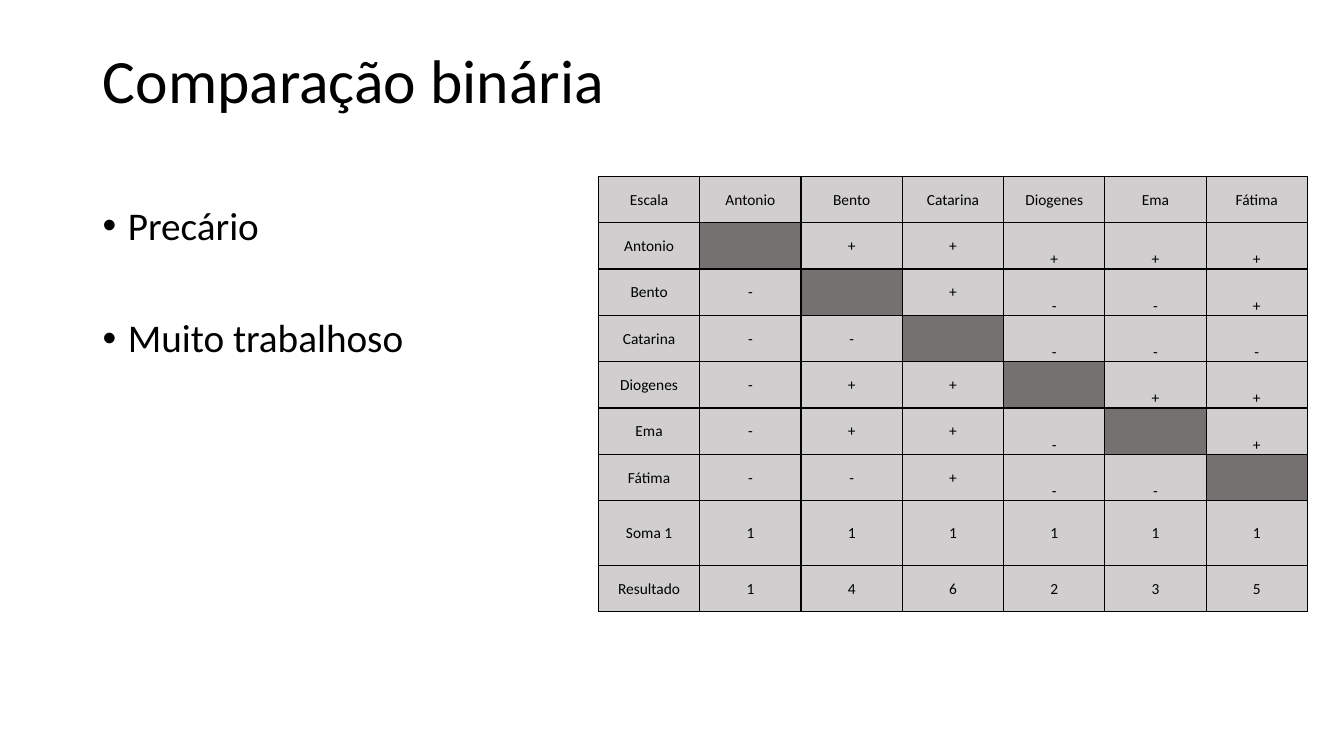
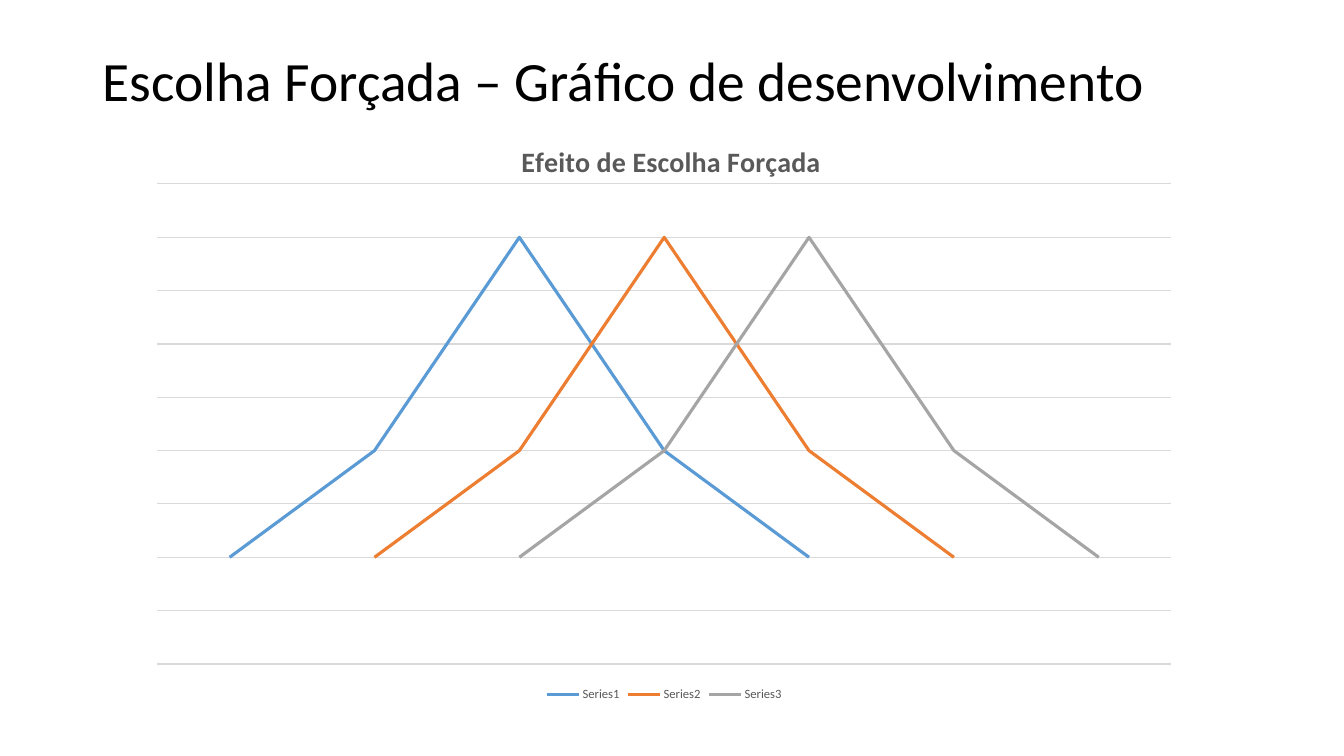
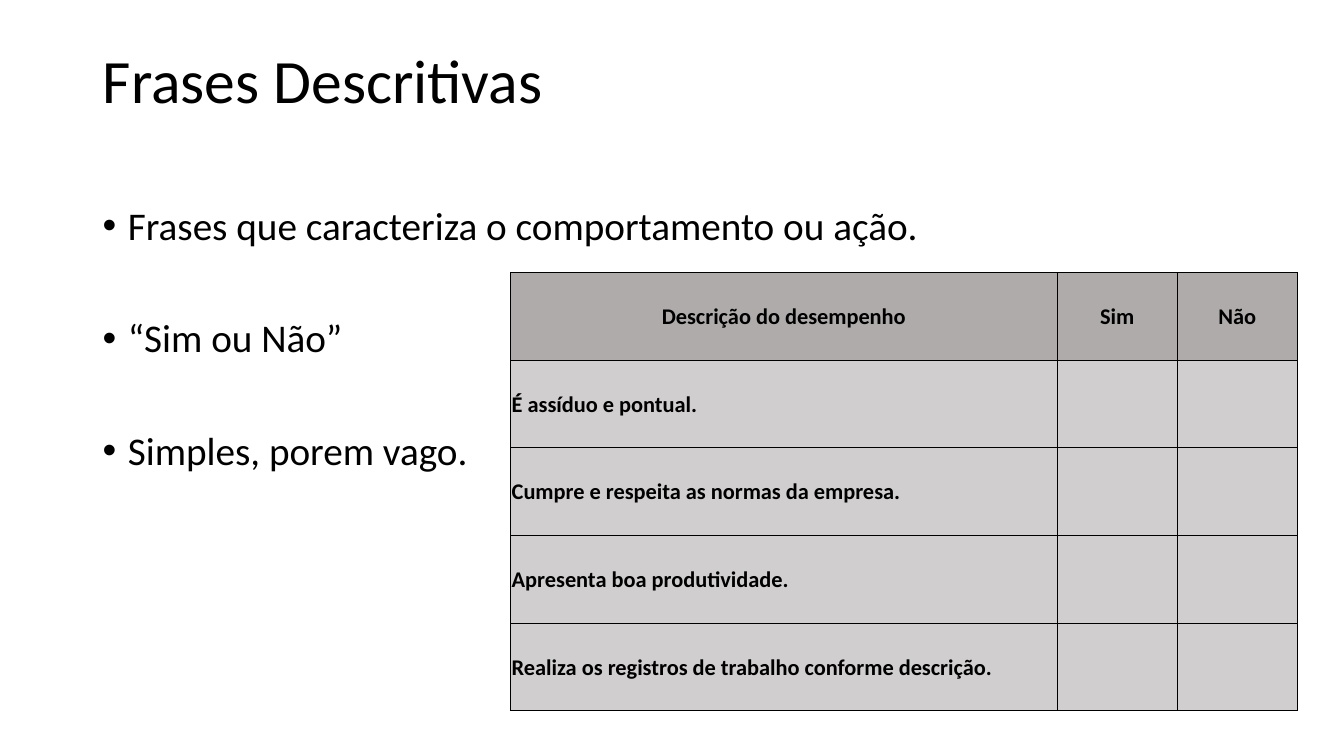
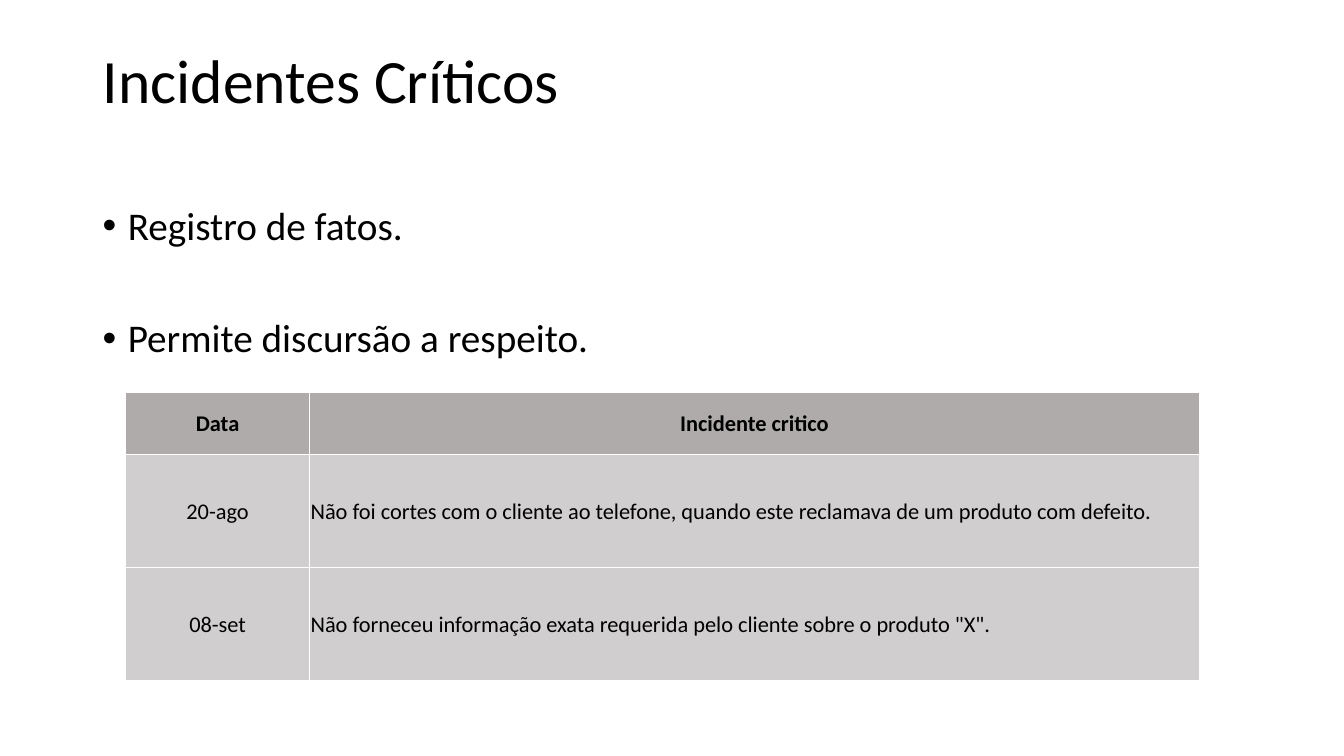
"""Build four slides on performance appraisal methods."""
from lxml import etree
from pptx import Presentation
from pptx.chart.data import CategoryChartData
from pptx.dml.color import RGBColor
from pptx.enum.chart import XL_CHART_TYPE, XL_LEGEND_POSITION
from pptx.enum.text import MSO_ANCHOR, MSO_AUTO_SIZE, PP_ALIGN
from pptx.oxml.ns import qn
from pptx.util import Pt

BLACK = RGBColor(0x00, 0x00, 0x00)
WHITE = RGBColor(0xFF, 0xFF, 0xFF)
LIGHT = RGBColor(0xD0, 0xCE, 0xCE)
HEADER = RGBColor(0xAF, 0xAB, 0xAB)
DARK = RGBColor(0x76, 0x71, 0x71)
GRID = RGBColor(0xD9, 0xD9, 0xD9)
GREY = RGBColor(0x59, 0x59, 0x59)
BLUE = RGBColor(0x5B, 0x9B, 0xD5)
ORANGE = RGBColor(0xED, 0x7D, 0x31)
SILVER = RGBColor(0xA5, 0xA5, 0xA5)
FONT = "Calibri"
LEFT, CENTER = PP_ALIGN.LEFT, PP_ALIGN.CENTER
MIDDLE, BOTTOM = MSO_ANCHOR.MIDDLE, MSO_ANCHOR.BOTTOM
NO_FIT = MSO_AUTO_SIZE.NONE
LINE_CHART = XL_CHART_TYPE.LINE
LEGEND_BOTTOM = XL_LEGEND_POSITION.BOTTOM


def write(p, text, size=16, color=BLACK, bold=False, align=LEFT,
          spacing=None, before=0, bullet=False):
    p.alignment = align
    p.line_spacing = spacing
    p.space_before = Pt(before)
    if bullet:
        pPr = p._p.get_or_add_pPr()
        pPr.set("marL", str(Pt(18)))
        pPr.set("indent", str(-Pt(18)))
        etree.SubElement(pPr, qn("a:buFont"), typeface="Arial")
        etree.SubElement(pPr, qn("a:buChar"), char="•")
    r = p.add_run()
    r.text = text
    r.font.name = FONT
    r.font.size = Pt(size)
    r.font.bold = bold
    r.font.color.rgb = color


def add_table(s, x, y, widths, heights, data, border, size=16,
              header=HEADER, bold_rows=0, left_col=None):
    frame = s.shapes.add_table(len(heights), len(widths), Pt(x), Pt(y),
                               Pt(sum(widths)), Pt(sum(heights)))
    table = frame.table
    table.first_row = table.horz_banding = False
    for column, width in zip(table.columns, widths):
        column.width = Pt(width)
    for i, (row, height) in enumerate(zip(table.rows, heights)):
        row.height = Pt(height)
        for j, cell in enumerate(row.cells):
            cell.margin_left = cell.margin_right = cell.margin_top = Pt(0.75)
            cell.margin_bottom = 0
            cell.vertical_anchor = MIDDLE
            for side in ("a:lnL", "a:lnR", "a:lnT", "a:lnB"):
                ln = etree.SubElement(cell._tc.get_or_add_tcPr(), qn(side), w=str(Pt(1)))
                fill = etree.SubElement(ln, qn("a:solidFill"))
                etree.SubElement(fill, qn("a:srgbClr"), val=str(border))
            cell.fill.solid()
            cell.fill.fore_color.rgb = LIGHT if i else header
            if data[i][j]:
                write(cell.text_frame.paragraphs[0], data[i][j], size=size,
                      bold=i < bold_rows, align=LEFT if i and j == left_col else CENTER)
    return table


prs = Presentation()
prs.slide_width, prs.slide_height = Pt(960), Pt(540)

outline = [
    ("Comparação binária", 44, ["Precário", "Muito trabalhoso"]),
    ("Escolha Forçada – Gráfico de desenvolvimento", 39.6, []),
    ("Frases Descritivas", 44, ["Frases que caracteriza o comportamento ou ação.",
                                "“Sim ou Não”", "Simples, porem vago."]),
    ("Incidentes Críticos", 44, ["Registro de fatos.", "Permite discursão a respeito."]),
]
slides = []
for title, size, bullets in outline:
    s = prs.slides.add_slide(prs.slide_layouts[5])
    slides.append(s)
    sp = s.shapes.title
    sp.left, sp.top, sp.width, sp.height = Pt(66.24), Pt(28.8), Pt(815), Pt(61.2)
    tf = sp.text_frame
    tf.auto_size = NO_FIT
    tf.vertical_anchor = MIDDLE
    write(tf.paragraphs[0], title, size=size, spacing=0.9)
    if bullets:
        tf = s.shapes.add_textbox(Pt(66.24), Pt(144), Pt(828), Pt(342.72)).text_frame
        tf.word_wrap = True
        for i, text in enumerate(bullets):
            p = tf.add_paragraph() if i else tf.paragraphs[0]
            write(p, text, size=28, spacing=0.9, before=50 if i else 10, bullet=True)
comparison, forced_choice, phrases, incidents = slides

names = ["Antonio", "Bento", "Catarina", "Diogenes", "Ema", "Fátima"]
marks = [" +++++", "- +--+", "-- ---", "-++ ++", "-++- +", "--+-- "]
data = [["Escala", *names]]
data += [[name, *row.replace(" ", "_")] for name, row in zip(names, marks)]
data = [["" if text == "_" else text for text in row] for row in data]
data += [["Soma 1", *"111111"], ["Resultado", *"146235"]]
table = add_table(comparison, 427.5, 126, [72.36] * 7, [33.1] * 7 + [46.4, 33.1],
                  data, BLACK, size=11, header=LIGHT)
for i in range(1, 7):
    table.cell(i, i).fill.fore_color.rgb = DARK
    for j in range(4, 7):
        table.cell(i, j).vertical_anchor = BOTTOM

chart_data = CategoryChartData()
chart_data.categories = ["1", "2", "3", "4", "5", "6", "7"]
curve = [25, 50, 100, 50, 25]
for i in range(3):
    chart_data.add_series(f"Series{i + 1}", [None] * i + curve + [None] * (2 - i))
chart = forced_choice.shapes.add_chart(LINE_CHART, Pt(97.2), Pt(80.64), Pt(754.56),
                                       Pt(423.36), chart_data).chart
chart.font.name = FONT
chart.font.size = Pt(10)
chart.font.color.rgb = BLACK
write(chart.chart_title.text_frame.paragraphs[0], "Efeito de Escolha Forçada",
      size=20, color=GREY, bold=True, align=CENTER)
chart.has_legend = True
chart.legend.position = LEGEND_BOTTOM
chart.legend.include_in_layout = False
chart.legend.font.name = FONT
chart.legend.font.size = Pt(9)
chart.legend.font.color.rgb = GREY
chart.category_axis.visible = False
axis = chart.value_axis
axis.visible = False
axis.minimum_scale, axis.maximum_scale, axis.major_unit = 0, 112.5, 12.5
axis.major_gridlines.format.line.color.rgb = GRID
axis.major_gridlines.format.line.width = Pt(0.75)
chart.plots[0].vary_by_categories = False
for series, color in zip(chart.plots[0].series, (BLUE, ORANGE, SILVER)):
    series.smooth = False
    series.format.line.color.rgb = color
    series.format.line.width = Pt(2.25)

chart_xml = chart._chartSpace.chart
layouts = [
    ("c:title", 1, dict(xMode="edge", yMode="edge", x=0.36, y=0.04)),
    ("c:plotArea", 0, dict(layoutTarget="inner", xMode="edge", yMode="edge",
                           x=0.02, y=0.12, w=0.96, h=0.81)),
]
for tag, position, settings in layouts:
    parent = chart_xml.find(qn(tag))
    for old in parent.findall(qn("c:layout")):
        parent.remove(old)
    layout = etree.Element(qn("c:layout"))
    manual = etree.SubElement(layout, qn("c:manualLayout"))
    for key, value in settings.items():
        etree.SubElement(manual, qn(f"c:{key}"), val=str(value))
    parent.insert(position, layout)

descriptions = ["É assíduo e pontual.", "Cumpre e respeita as normas da empresa.",
                "Apresenta boa produtividade.",
                "Realiza os registros de trabalho conforme descrição."]
data = [["Descrição do desempenho", "Sim", "Não"]]
data += [[text, "", ""] for text in descriptions]
add_table(phrases, 364.75, 194.75, [390.4, 85.8, 85.8], [62.6] * 5, data, BLACK,
          bold_rows=5, left_col=0)

data = [
    ["Data", "Incidente critico"],
    ["20-ago", "Não foi cortes com o cliente ao telefone, quando este reclamava "
               "de um produto com defeito."],
    ["08-set", 'Não forneceu informação exata requerida pelo cliente sobre o produto "X".'],
]
add_table(incidents, 89.75, 280.25, [131.4, 635.6], [44.6, 80.6, 80.6], data, WHITE,
          bold_rows=1, left_col=1)

prs.save("out.pptx")
